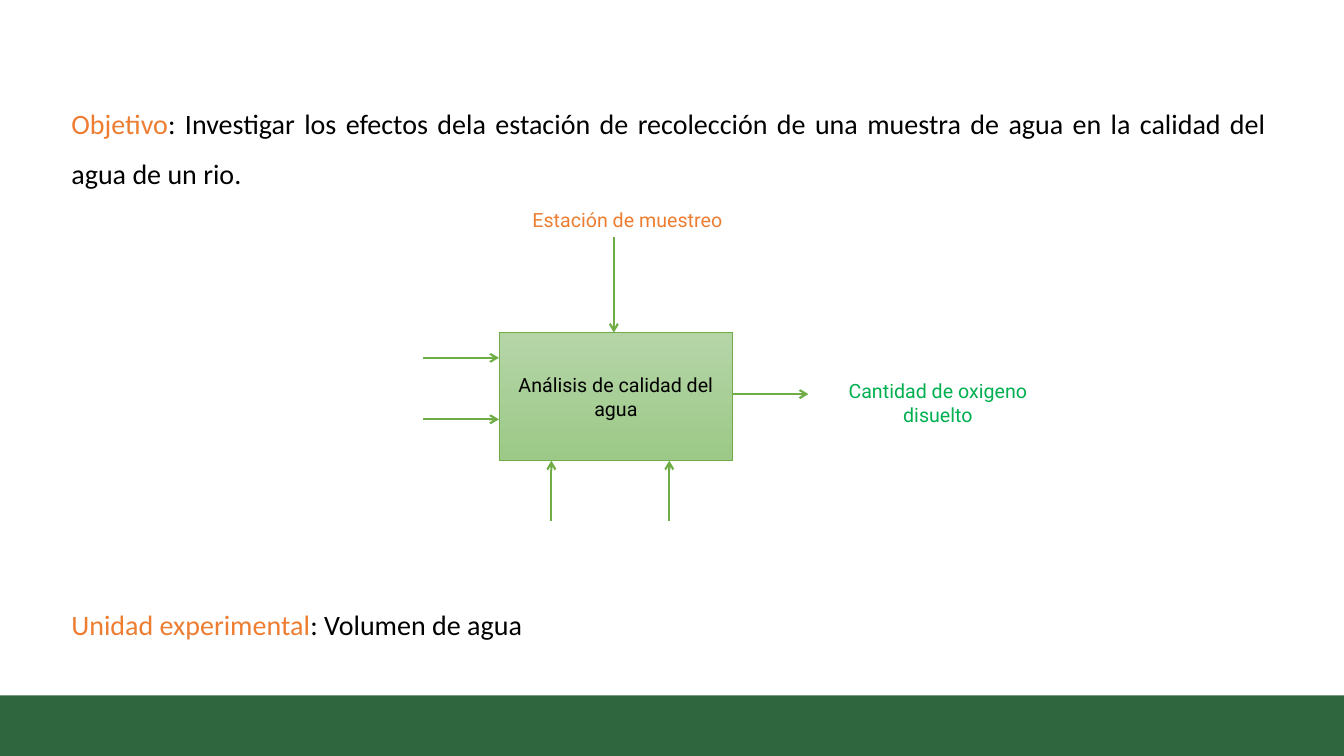
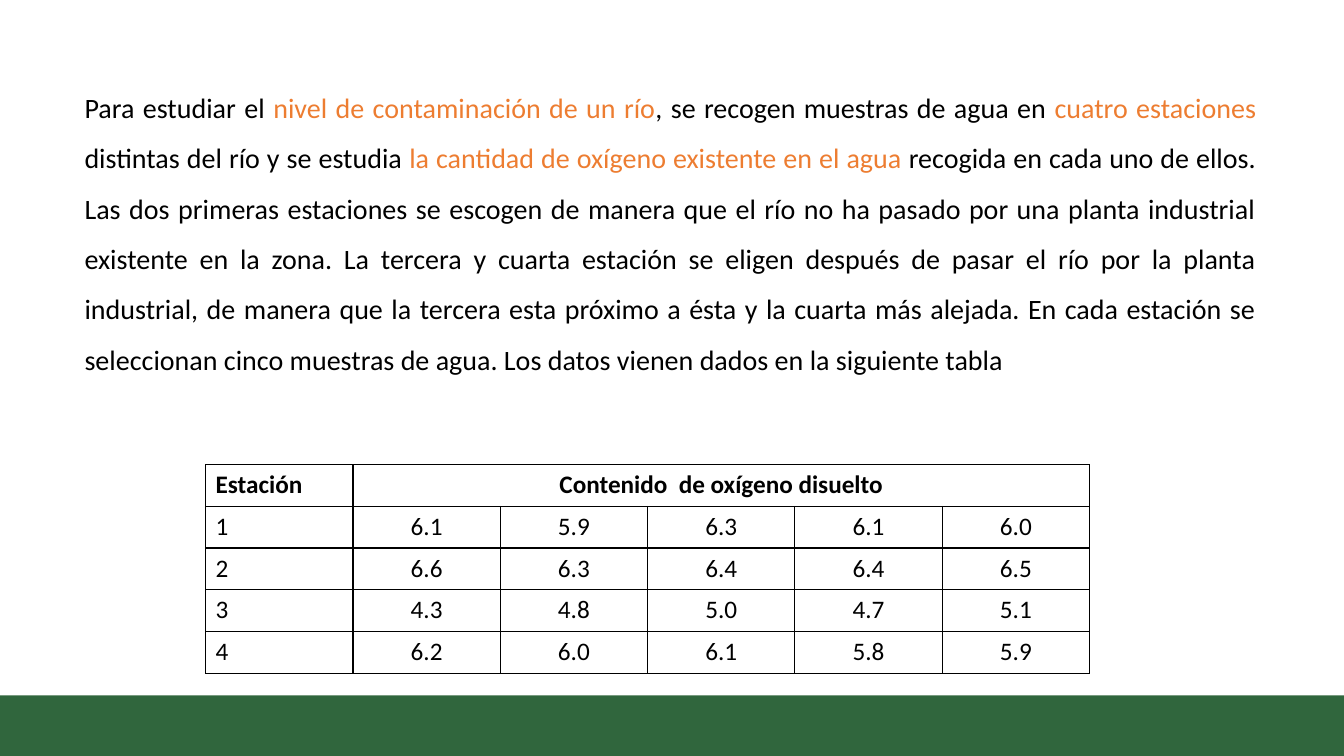
from lxml import etree
from pptx import Presentation
from pptx import util as u
from pptx.dml.color import RGBColor
from pptx.enum import shapes, text
from pptx.oxml import ns

COLS, ROWS = 80, 45  # square grid cells over a 13.33 x 7.5 inch slide
BLACK, ORANGE, GREEN = "000000", "ED7D31", "00B050"
BAND, LINE = "30663D", "70AD47"
BOX_TOP, BOX_BOTTOM = "B5D5A7", "9CC987"
LEFT, CENTER, JUSTIFY = (
    text.PP_ALIGN.LEFT, text.PP_ALIGN.CENTER, text.PP_ALIGN.JUSTIFY)


def rgb(color):
    return RGBColor.from_string(color)


def child(parent, tag, **attrs):
    return etree.SubElement(parent, ns.qn(tag), attrs)


class Deck:
    """Shared style, the grid and the current slide."""

    def __init__(self):
        self.prs = Presentation()
        self.prs.slide_width = u.Inches(13.33)
        self.prs.slide_height = u.Inches(7.5)
        self.s = None

    def x(self, cols):
        return u.Emu(round(self.prs.slide_width * cols / COLS))

    def y(self, rows):
        return u.Emu(round(self.prs.slide_height * rows / ROWS))

    def area(self, left, top, width, height):
        return self.x(left), self.y(top), self.x(width), self.y(height)

    def new_slide(self):
        self.s = self.prs.slides.add_slide(self.prs.slide_layouts[6])
        band = self.rect(0, 41.4, COLS, 3.6)
        band.fill.solid()
        band.fill.fore_color.rgb = rgb(BAND)
        band.line.fill.background()

    def rect(self, *area):
        sp = self.s.shapes.add_shape(
            shapes.MSO_SHAPE.RECTANGLE, *self.area(*area))
        sp.shadow.inherit = False
        return sp

    def set_text(self, tf, runs, size, font, align=LEFT, spacing=None,
                 bold=False):
        """Fill one paragraph with (text, colour) runs."""
        tf.word_wrap = True
        p = tf.paragraphs[0]
        p.alignment = align
        if spacing:
            p.line_spacing = spacing
        p.font.size, p.font.name, p.font.bold = u.Pt(size), font, bold
        for words, color in runs:
            r = p.add_run()
            r.text = words
            r.font.color.rgb = rgb(color)

    def text_box(self, area, runs, *style):
        tf = self.s.shapes.add_textbox(*self.area(*area)).text_frame
        tf.auto_size = text.MSO_AUTO_SIZE.SHAPE_TO_FIT_TEXT
        self.set_text(tf, runs, *style)

    def body(self, area, runs, align=JUSTIFY):
        self.text_box(area, runs, 20, "Calibri", align, 1.5)

    def label(self, area, words, color):
        self.text_box(area, [(words, color)], 14, "Roboto", CENTER)

    def process_box(self, area, words):
        sp = self.rect(*area)
        sp.fill.gradient()
        sp.fill.gradient_angle = 270  # top to bottom
        for stop, color in zip(sp.fill.gradient_stops, (BOX_TOP, BOX_BOTTOM)):
            stop.color.rgb = rgb(color)
        sp.line.color.rgb = rgb(LINE)
        sp.line.width = u.Pt(0.5)
        sp.text_frame.vertical_anchor = text.MSO_ANCHOR.MIDDLE
        self.set_text(sp.text_frame, [(words, BLACK)], 14, "Roboto", CENTER)

    def arrow(self, x1, y1, x2, y2):
        line = self.s.shapes.add_connector(
            shapes.MSO_CONNECTOR.STRAIGHT,
            self.x(x1), self.y(y1), self.x(x2), self.y(y2))
        line.line.color.rgb = rgb(LINE)
        line.line.width = u.Pt(1.5)
        sp_pr = line._element.spPr
        child(sp_pr.get_or_add_ln(), "a:tailEnd", type="arrow")
        child(sp_pr, "a:effectLst")

    def border(self, cell):
        tc_pr = cell._tc.get_or_add_tcPr()
        for i, side in enumerate(("a:lnL", "a:lnR", "a:lnT", "a:lnB")):
            ln = child(tc_pr, side, w=str(u.Pt(1)))
            child(child(ln, "a:solidFill"), "a:srgbClr", val=BLACK)
            tc_pr.insert(i, ln)

    def table(self, area, header, rows):
        """A header whose second cell spans all value columns."""
        n_cols = len(rows[0])
        tbl = self.s.shapes.add_table(
            len(rows) + 1, n_cols, *self.area(*area)).table
        tbl.first_row = tbl.horz_banding = False
        tbl.cell(0, 1).merge(tbl.cell(0, n_cols - 1))
        for i, row in enumerate([header] + rows):
            for j, words in enumerate(row):
                self.set_text(tbl.cell(i, j).text_frame, [(words, BLACK)], 18,
                              "Calibri", CENTER if j else LEFT, bold=i == 0)
        for cell in tbl.iter_cells():
            cell.fill.background()
            self.border(cell)


def objective_slide(d):
    d.new_slide()

    # Process diagram
    left, top, width, height = box = 29.7, 19.8, 13.92, 7.62
    right, bottom = left + width, top + height
    d.process_box(box, "Análisis de calidad del agua")
    for y in (21.3, 24.96):
        d.arrow(left - 4.5, y, left, y)
    for x in (32.82, 39.84):
        d.arrow(x, bottom + 3.6, x, bottom)
    d.arrow(36.54, 14.1, 36.54, top)
    d.arrow(right, 23.46, right + 4.5, 23.46)
    d.label((30.42, 12.06, 13.86, 2.04), "Estación de muestreo", ORANGE)
    d.label((48.24, 22.26, 15.18, 3.42), "Cantidad de oxigeno disuelto", GREEN)

    # Statements above and below
    d.body((3.66, 5.04, 72.3, 6.36), [
        ("Objetivo", ORANGE),
        (": Investigar los efectos dela estación de recolección de una muestra "
         "de agua en la calidad del agua de un rio. ", BLACK)])
    d.body((3.66, 34.86, 72.84, 3.36), [
        ("Unidad experimental", ORANGE), (": Volumen de agua", BLACK)], LEFT)


def data_slide(d):
    d.new_slide()

    # Description of the study
    d.body((4.44, 4.08, 70.92, 18.48), [
        ("Para estudiar el ", BLACK),
        ("nivel de contaminación de un río", ORANGE),
        (", se recogen muestras de agua en ", BLACK),
        ("cuatro estaciones ", ORANGE),
        ("distintas del río y se estudia ", BLACK),
        ("la cantidad de oxígeno existente en el agua ", ORANGE),
        ("recogida en cada uno de ellos. Las dos primeras estaciones se escogen "
         "de manera que el río no ha pasado por una planta industrial existente "
         "en la zona. La tercera y cuarta estación se eligen después de pasar "
         "el río por la planta industrial, de manera que la tercera esta "
         "próximo a ésta y la cuarta más alejada. En cada estación se "
         "seleccionan cinco muestras de agua. Los datos vienen dados en la "
         "siguiente tabla", BLACK)])

    # Measurements by station
    d.table((12.24, 27.66, 52.62, 12.42),
            ["Estación", "Contenido  de oxígeno disuelto"], [
                ["1", "6.1", "5.9", "6.3", "6.1", "6.0"],
                ["2", "6.6", "6.3", "6.4", "6.4", "6.5"],
                ["3", "4.3", "4.8", "5.0", "4.7", "5.1"],
                ["4", "6.2", "6.0", "6.1", "5.8", "5.9"]])


def main():
    d = Deck()
    objective_slide(d)
    data_slide(d)
    d.prs.save("out.pptx")


if __name__ == "__main__":
    main()
